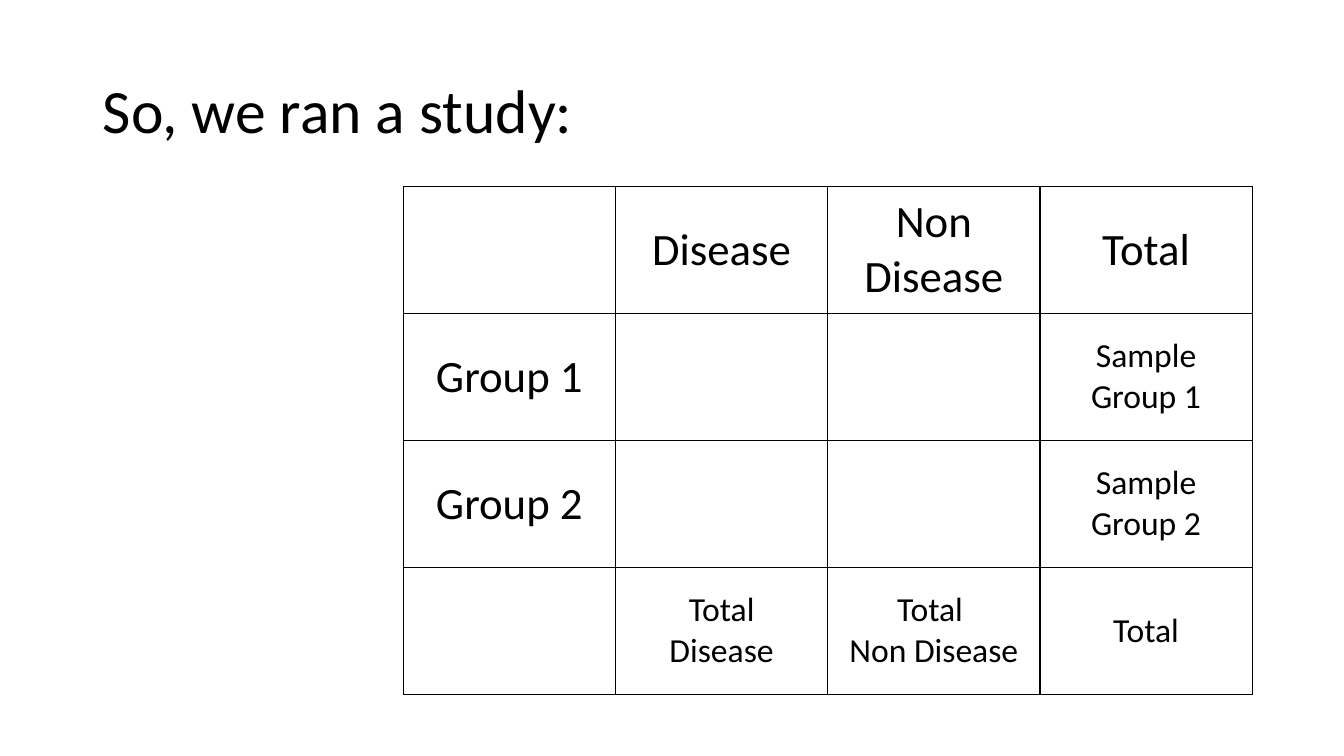
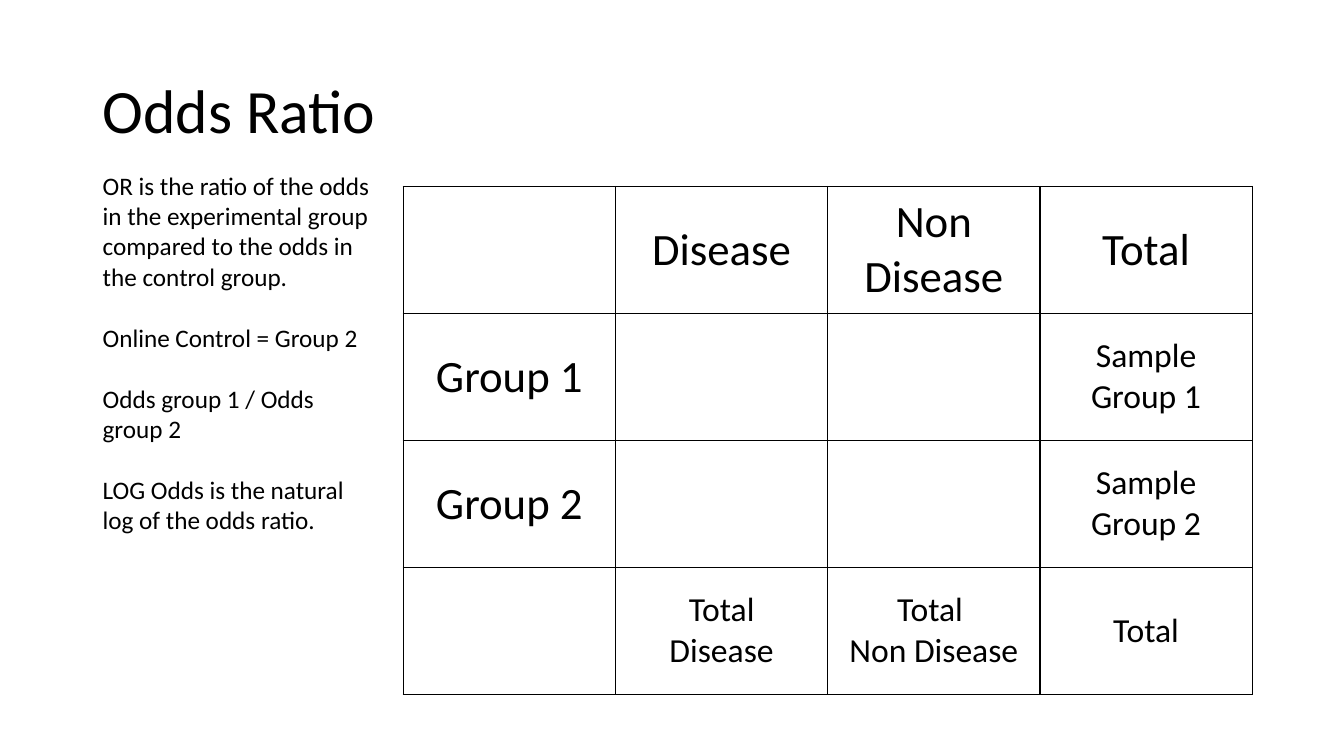
from pptx import Presentation
from pptx.dml.color import RGBColor
from pptx.enum.text import MSO_ANCHOR, MSO_AUTO_SIZE, PP_ALIGN
from pptx.oxml import parse_xml
from pptx.oxml.ns import nsdecls
from pptx.util import Inches, Pt

FONT = "Calibri"
BLACK = "000000"
TITLE_ONLY_LAYOUT = 5
HEADING_SIZE = 32
TOTAL_SIZE = 24
TABLE_ROWS = [
    ["", "Disease", "Non Disease", "Total"],
    ["Group 1", "", "", "Sample Group 1"],
    ["Group 2", "", "", "Sample Group 2"],
    ["", "Total\nDisease", "Total \nNon Disease", "Total"],
]
ODDS_NOTES = [
    "OR is the ratio of the odds in the experimental group compared to the "
    "odds in the control group.",
    "Online Control = Group 2",
    "Odds group 1 / Odds group 2",
    "LOG Odds is the natural log of the odds ratio.",
]


def color(hex_value):
    return RGBColor.from_string(hex_value)


def style_paragraph(paragraph, size, alignment=PP_ALIGN.LEFT):
    paragraph.alignment = alignment
    paragraph.font.name = FONT
    paragraph.font.size = Pt(size)
    paragraph.font.bold = False
    paragraph.font.color.rgb = color(BLACK)


def add_titled_slide(presentation, text):
    slide = presentation.slides.add_slide(presentation.slide_layouts[TITLE_ONLY_LAYOUT])
    title = slide.shapes.title
    title.left, title.top = Inches(0.92), Inches(0.4)
    title.width, title.height = Inches(11.5), Inches(1.45)
    frame = title.text_frame
    frame.text = text
    frame.auto_size = MSO_AUTO_SIZE.NONE
    frame.vertical_anchor = MSO_ANCHOR.MIDDLE
    paragraph = frame.paragraphs[0]
    style_paragraph(paragraph, 44)
    paragraph.line_spacing = 0.9
    return slide


def set_borders(cell, hex_value, width):
    """Draw all four borders; call before the fill, which must follow them."""
    properties = cell._tc.get_or_add_tcPr()
    for side in ("lnL", "lnR", "lnT", "lnB"):
        properties.append(parse_xml(
            f'<a:{side} {nsdecls("a")} w="{Pt(width)}"><a:solidFill>'
            f'<a:srgbClr val="{hex_value}"/></a:solidFill></a:{side}>'))


def fill_cell(cell, text, size):
    set_borders(cell, BLACK, 1)
    cell.fill.background()
    cell.vertical_anchor = MSO_ANCHOR.MIDDLE
    cell.text = text
    for paragraph in cell.text_frame.paragraphs:
        style_paragraph(paragraph, size, PP_ALIGN.CENTER)


def add_study_table(slide):
    row_count, column_count = len(TABLE_ROWS), len(TABLE_ROWS[0])
    table = slide.shapes.add_table(
        row_count, column_count,
        Inches(4), Inches(1.85), Inches(8.42), Inches(5.04)).table
    table.first_row = False
    table.horz_banding = False
    for row, texts in enumerate(TABLE_ROWS):
        for column, text in enumerate(texts):
            is_total = row > 0 and (row == row_count - 1 or column == column_count - 1)
            size = TOTAL_SIZE if is_total else HEADING_SIZE
            fill_cell(table.cell(row, column), text, size)


def add_notes_box(slide, texts):
    box = slide.shapes.add_textbox(Inches(0.92), Inches(1.64), Inches(2.86), Inches(3.74))
    frame = box.text_frame
    frame.word_wrap = True
    frame.auto_size = MSO_AUTO_SIZE.SHAPE_TO_FIT_TEXT
    frame.text = "\n".join(texts)
    for index, paragraph in enumerate(frame.paragraphs):
        style_paragraph(paragraph, 18)
        paragraph.space_before = Pt(22 if index else 0)


def main():
    presentation = Presentation()
    presentation.slide_width = Inches(13.33)
    presentation.slide_height = Inches(7.5)

    study_slide = add_titled_slide(presentation, "So, we ran a study:")
    add_study_table(study_slide)

    odds_slide = add_titled_slide(presentation, "Odds Ratio")
    add_study_table(odds_slide)
    add_notes_box(odds_slide, ODDS_NOTES)

    presentation.save("out.pptx")


if __name__ == "__main__":
    main()
